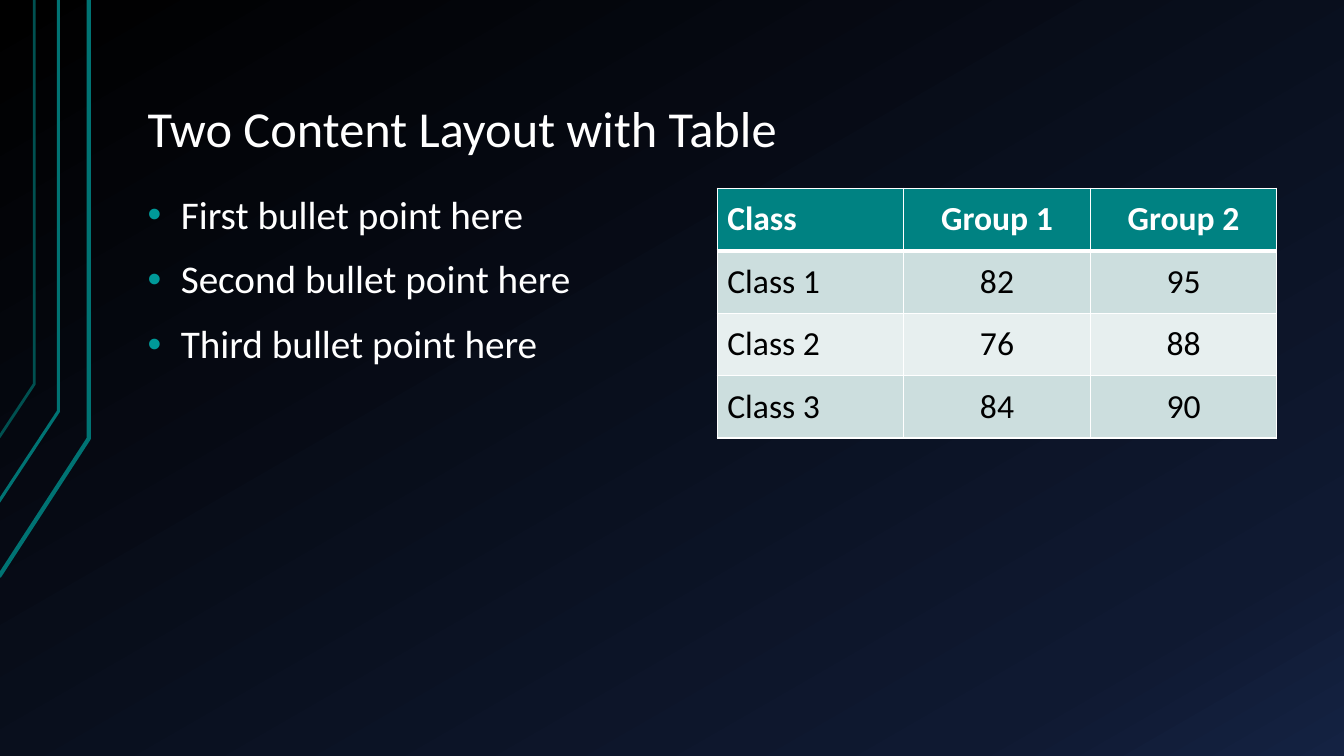
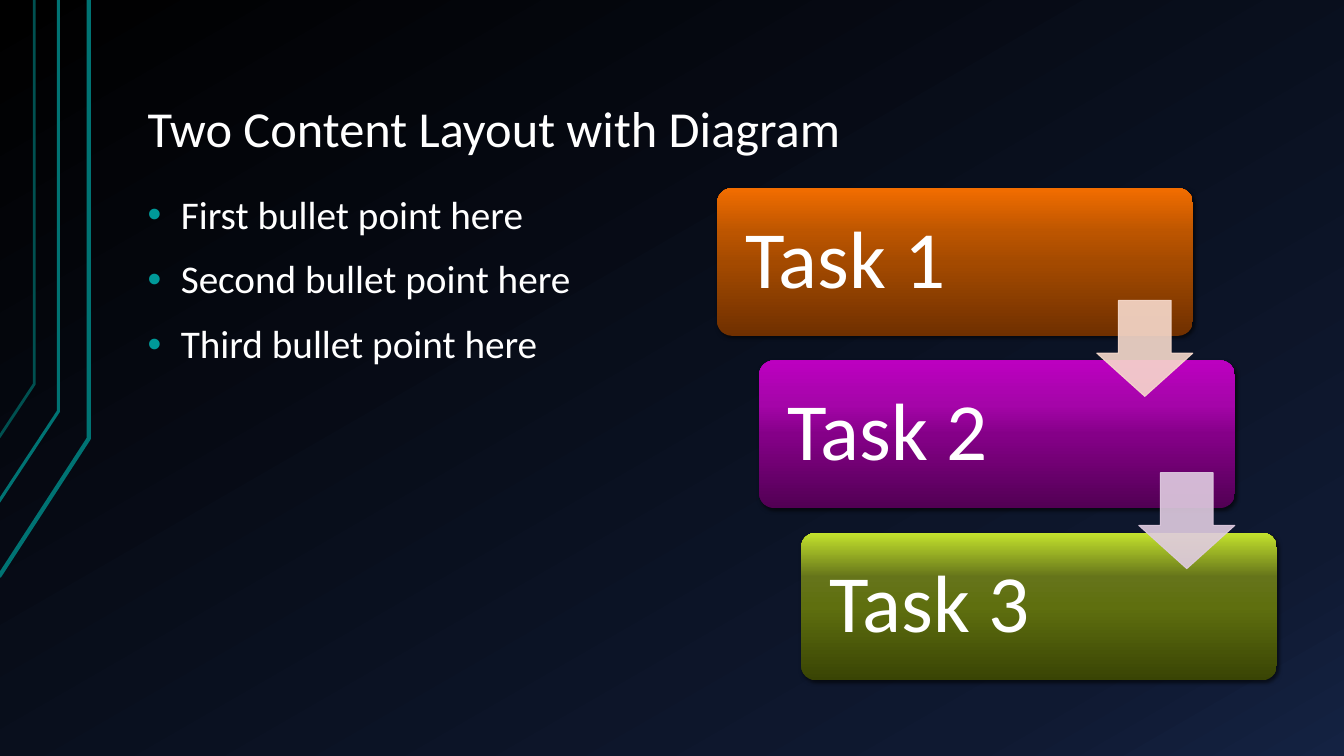
from dataclasses import dataclass
from lxml.etree import SubElement
from pptx import Presentation
from pptx.dml.color import RGBColor
from pptx.enum.shapes import MSO_SHAPE
from pptx.enum.text import MSO_ANCHOR, PP_ALIGN
from pptx.oxml.ns import qn
from pptx.util import Inches, Pt


@dataclass(frozen=True)
class Theme:
    font: str = "Calibri"
    white: str = "FFFFFF"
    black: str = "000000"
    dot: str = "009999"
    head: str = "008282"
    bands: tuple = ("CCDEDE", "E7EFEF")
    back: tuple = ((0, "000000"), (85, "0F1931"), (100, "142242"))
    title: int = 36
    body: int = 28
    cell: int = 24
    task: int = 58


T = Theme()
W, H = 13.33, 7.5
LEFT, RIGHT, TOP, BASE = 0.1 * W, 0.95 * W, 0.249 * H, 0.9 * H
COL, TALL = 5.55, BASE - TOP
SIDE = RIGHT - COL

POINTS = ["First bullet point here", "Second bullet point here", "Third bullet point here"]
TITLES = ["Two Content Layout with Table", "Two Content Layout with Diagram"]
ROWS = [
    ("Class", "Group 1", "Group 2"),
    ("Class 1", "82", "95"),
    ("Class 2", "76", "88"),
    ("Class 3", "84", "90"),
]
TASKS = [
    ("Task 1", ((0, "703000"), (50, "A44A00"), (70, "BC5500"), (100, "F26D00"))),
    ("Task 2", ((0, "520054"), (50, "850088"), (70, "A505A9"), (100, "BC00C0"))),
    ("Task 3", ((0, "394404"), (50, "5F6F0F"), (70, "65741A"), (100, "C4E32D"))),
]
ARROWS = ["F7DACC", "E0CCE1"]
RAILS = [
    (-0.01, 5.72, 0.88, 4.35, 3, "007373"),
    (-0.02, 4.99, 0.58, 4.08, 2.25, "007373"),
    (-0.01, 4.34, 0.34, 3.81, 2, "005050"),
]


def rgb(code):
    return RGBColor.from_string(code)


def box(*sides):
    return [Inches(side) for side in sides]


def tint(node, code, alpha=100):
    color = SubElement(node, qn("a:srgbClr"), val=code)
    if alpha < 100:
        SubElement(color, qn("a:alpha"), val=str(alpha * 1000))


def blend(item, fill, stops, angle):
    fill.gradient()
    node = next(item.element.iter(qn("a:gradFill")))
    for child in list(node):
        node.remove(child)
    group = SubElement(node, qn("a:gsLst"))
    for place, code in stops:
        tint(SubElement(group, qn("a:gs"), pos=str(place * 1000)), code)
    SubElement(node, qn("a:lin"), ang=str(angle * 60000), scaled="0")


def style(para, size, code=T.white, bold=False):
    font = para.font
    font.name, font.size, font.bold = T.font, Pt(size), bold
    font.color.rgb = rgb(code)


def inset(frame, across, down):
    frame.margin_left = frame.margin_right = Inches(across)
    frame.margin_top = frame.margin_bottom = Inches(down)


def frame_at(slide, place, anchor):
    frame = slide.shapes.add_textbox(*box(*place)).text_frame
    frame.word_wrap = True
    frame.vertical_anchor = anchor
    inset(frame, 0.13, 0.07)
    return frame


def add_base(deck, title):
    slide = deck.slides.add_slide(deck.slide_layouts[6])
    for x, y, bend, knee, width, code in RAILS:
        path = slide.shapes.build_freeform(Inches(x), Inches(y))
        path.add_line_segments([box(bend, knee), box(bend, 0)], close=False)
        rail = path.convert_to_shape()
        rail.shadow.inherit = False
        rail.fill.background()
        rail.line.color.rgb = rgb(code)
        rail.line.width = Pt(width)

    para = frame_at(slide, (LEFT, 0.04 * H, RIGHT - LEFT, 1.34), MSO_ANCHOR.BOTTOM).paragraphs[0]
    para.text = title
    para.line_spacing = 0.9
    style(para, T.title)

    frame = frame_at(slide, (LEFT, TOP, COL, TALL), MSO_ANCHOR.TOP)
    frame.text = "\n".join(POINTS)
    for para in frame.paragraphs:
        para.line_spacing = 0.9
        para.space_before = Pt(16)
        props = para._p.get_or_add_pPr()
        props.set("marL", str(Inches(0.33)))
        props.set("indent", str(-Inches(0.33)))
        tint(SubElement(props, qn("a:buClr")), T.dot)
        SubElement(props, qn("a:buFont"), typeface="Arial")
        SubElement(props, qn("a:buChar"), char="•")
        style(para, T.body)
    return slide


def edge(cell, heavy):
    props = cell._tc.get_or_add_tcPr()
    for spot, side in enumerate(("lnL", "lnR", "lnT", "lnB")):
        width = 3 if side == heavy else 1
        line = props.makeelement(qn("a:" + side), {"w": str(Pt(width))})
        tint(SubElement(line, qn("a:solidFill")), T.white)
        props.insert(spot, line)


def add_grid(slide):
    place = box(SIDE, TOP, COL, 0.62 * len(ROWS))
    table = slide.shapes.add_table(len(ROWS), len(ROWS[0]), *place).table
    for r, row in enumerate(ROWS):
        for c, text in enumerate(row):
            cell = table.cell(r, c)
            cell.text = text
            cell.vertical_anchor = MSO_ANCHOR.MIDDLE
            cell.fill.solid()
            cell.fill.fore_color.rgb = rgb(T.bands[(r - 1) % 2] if r else T.head)
            edge(cell, {0: "lnB", 1: "lnT"}.get(r))
            para = cell.text_frame.paragraphs[0]
            para.alignment = PP_ALIGN.CENTER if c else PP_ALIGN.LEFT
            style(para, T.cell, T.black if r else T.white, not r)


def add_steps(slide):
    wide, high = 0.85 * COL, 0.3 * TALL
    shift, drop = 0.075 * COL, 0.35 * TALL
    size = 0.65 * high
    for i, (text, stops) in enumerate(TASKS):
        place = box(SIDE + i * shift, TOP + i * drop, wide, high)
        card = slide.shapes.add_shape(MSO_SHAPE.ROUNDED_RECTANGLE, *place)
        card.adjustments[0] = 0.1
        blend(card, card.fill, stops, 270)
        card.line.fill.background()
        card.shadow.inherit = False
        glow = SubElement(
            next(card.element.iter(qn("a:effectLst"))), qn("a:outerShdw"),
            blurRad=str(Pt(3)), dist=str(Pt(2)), dir=str(45 * 60000), rotWithShape="0",
        )
        tint(glow, T.black, 60)
        frame = card.text_frame
        frame.word_wrap = True
        frame.vertical_anchor = MSO_ANCHOR.MIDDLE
        inset(frame, 0.24, 0.24)
        para = frame.paragraphs[0]
        para.text = text
        para.alignment = PP_ALIGN.LEFT
        para.line_spacing = 0.9
        style(para, T.task)

    for i, code in enumerate(ARROWS):
        x = SIDE + i * shift + wide - size
        y = TOP + i * drop + 0.76 * high
        arrow = slide.shapes.add_shape(MSO_SHAPE.DOWN_ARROW, *box(x, y, size, size))
        arrow.adjustments[0], arrow.adjustments[1] = 0.55, 0.45
        arrow.shadow.inherit = False
        arrow.line.width = Pt(0.75)
        for fill in (arrow.fill, arrow.line.fill):
            fill.solid()
            fill.fore_color.rgb = rgb(code)
        for color in arrow.element.spPr.iter(qn("a:srgbClr")):
            SubElement(color, qn("a:alpha"), val="90000")


deck = Presentation()
deck.slide_width, deck.slide_height = box(W, H)
master = deck.slide_master
blend(master, master.background.fill, T.back, 60)
for title, build in zip(TITLES, (add_grid, add_steps)):
    build(add_base(deck, title))
deck.save("out.pptx")
